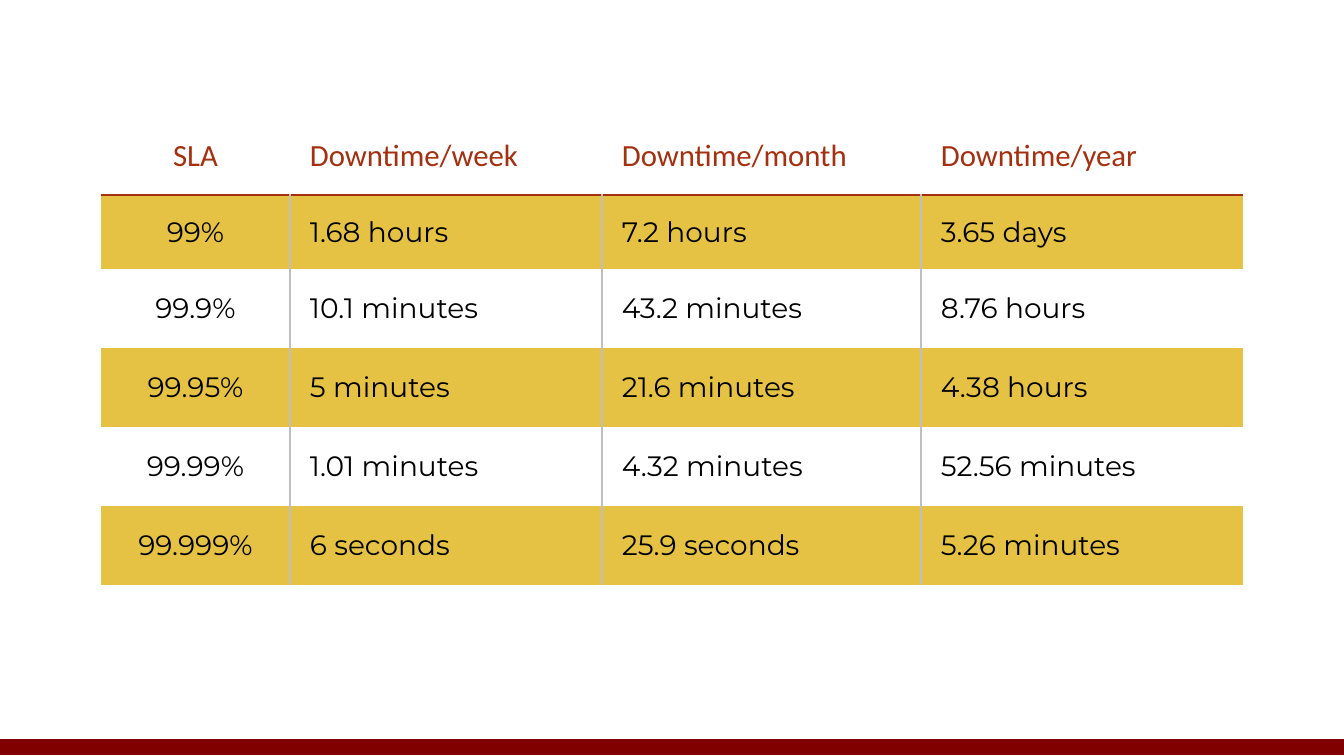
import pptx
import pptx.util
import pptx.dml.color
import pptx.enum.shapes
import pptx.enum.text
import pptx.oxml
import pptx.oxml.ns

HUES = {"head": "A5300F", "text": "000000", "band": "E5C243",
        "plain": "FFFFFF", "grid": "BFBFBF", "foot": "800000"}
ROWS = [
    ["SLA", "Downtime/week", "Downtime/month", "Downtime/year"],
    ["99%", "1.68 hours", "7.2 hours", "3.65 days"],
    ["99.9%", "10.1 minutes", "43.2 minutes", "8.76 hours"],
    ["99.95%", "5 minutes", "21.6 minutes", "4.38 hours"],
    ["99.99%", "1.01 minutes", "4.32 minutes", "52.56 minutes"],
    ["99.999%", "6 seconds", "25.9 seconds", "5.26 minutes"],
]
WIDTHS = [189, 312, 319, 322]
HEIGHTS = [78, 74] + [79] * 4
WIDE, HIGH = 1344, 756
ALIGN = pptx.enum.text.PP_ALIGN
ANCHOR = pptx.enum.text.MSO_ANCHOR
HEAD = {"size": pptx.util.Pt(22), "name": "Calibri", "bold": False}
BODY = {"size": pptx.util.Pt(20), "name": "Montserrat", "bold": False}


def px(num):
    """Turn pixels into EMU."""
    return pptx.util.Emu(round(num * 914400 / 100.8))


def hue(name):
    """Look up a colour by its role."""
    return pptx.dml.color.RGBColor.from_string(HUES[name])


def put(item, vals):
    """Set attributes from a dict."""
    for key, val in vals.items():
        setattr(item, key, val)


def edge(cell, sides):
    """Draw the named sides of a cell and clear the others."""
    props = cell._tc.get_or_add_tcPr()
    for spot, side in enumerate("LRTB"):
        fill = "<a:noFill/>"
        if side in sides:
            fill = f'<a:solidFill><a:srgbClr val="{HUES[sides[side]]}"/></a:solidFill>'
        props.insert(spot, pptx.oxml.parse_xml(
            f'<a:ln{side} {pptx.oxml.ns.nsdecls("a")} w="12700">{fill}</a:ln{side}>'))


def style(cell, row, col):
    """Format one cell by its place in the table."""
    top, first = row == 0, col == 0
    put(cell, {"margin_left": px(11 if first else 20), "margin_right": px(11),
               "margin_top": px(20 if top else 0),
               "margin_bottom": px(20 if top else 0),
               "vertical_anchor": ANCHOR.BOTTOM if top else ANCHOR.MIDDLE})
    cell.fill.solid()
    cell.fill.fore_color.rgb = hue("band" if row % 2 else "plain")
    para = cell.text_frame.paragraphs[0]
    para.alignment = ALIGN.CENTER if first else ALIGN.LEFT
    font = para.runs[0].font
    put(font, HEAD if top else BODY)
    font.color.rgb = hue("head" if top else "text")
    sides = {"B": "head"} if top else {}
    if row == 1:
        sides["T"] = "head"
    if not top and not first:
        sides["L"] = "grid"
    if not top and col < len(WIDTHS) - 1:
        sides["R"] = "grid"
    edge(cell, sides)


def grid(slide, left, top):
    """Build the downtime table from its top left corner."""
    table = slide.shapes.add_table(
        len(ROWS), len(WIDTHS), px(left), px(top),
        px(sum(WIDTHS)), px(sum(HEIGHTS))).table
    for col, width in zip(table.columns, WIDTHS):
        col.width = px(width)
    for row, height in zip(table.rows, HEIGHTS):
        row.height = px(height)
    for row, texts in enumerate(ROWS):
        for col, text in enumerate(texts):
            cell = table.cell(row, col)
            cell.text = text
            style(cell, row, col)


def foot(slide, left, mid, width):
    """Draw the thick bottom line."""
    line = slide.shapes.add_connector(
        pptx.enum.shapes.MSO_CONNECTOR.STRAIGHT,
        px(left), px(mid), px(left + width), px(mid))
    line.line.width = pptx.util.Pt(12)
    line.line.color.rgb = hue("foot")
    line._element.spPr.append(pptx.oxml.parse_xml(
        f'<a:effectLst {pptx.oxml.ns.nsdecls("a")}/>'))


def main():
    """Build and save the slide."""
    deck = pptx.Presentation()
    put(deck, {"slide_width": px(WIDE), "slide_height": px(HIGH)})
    slide = deck.slides.add_slide(deck.slide_layouts[6])
    foot(slide, 0, 747, WIDE)
    grid(slide, 101, 117)
    deck.save("out.pptx")


main()
